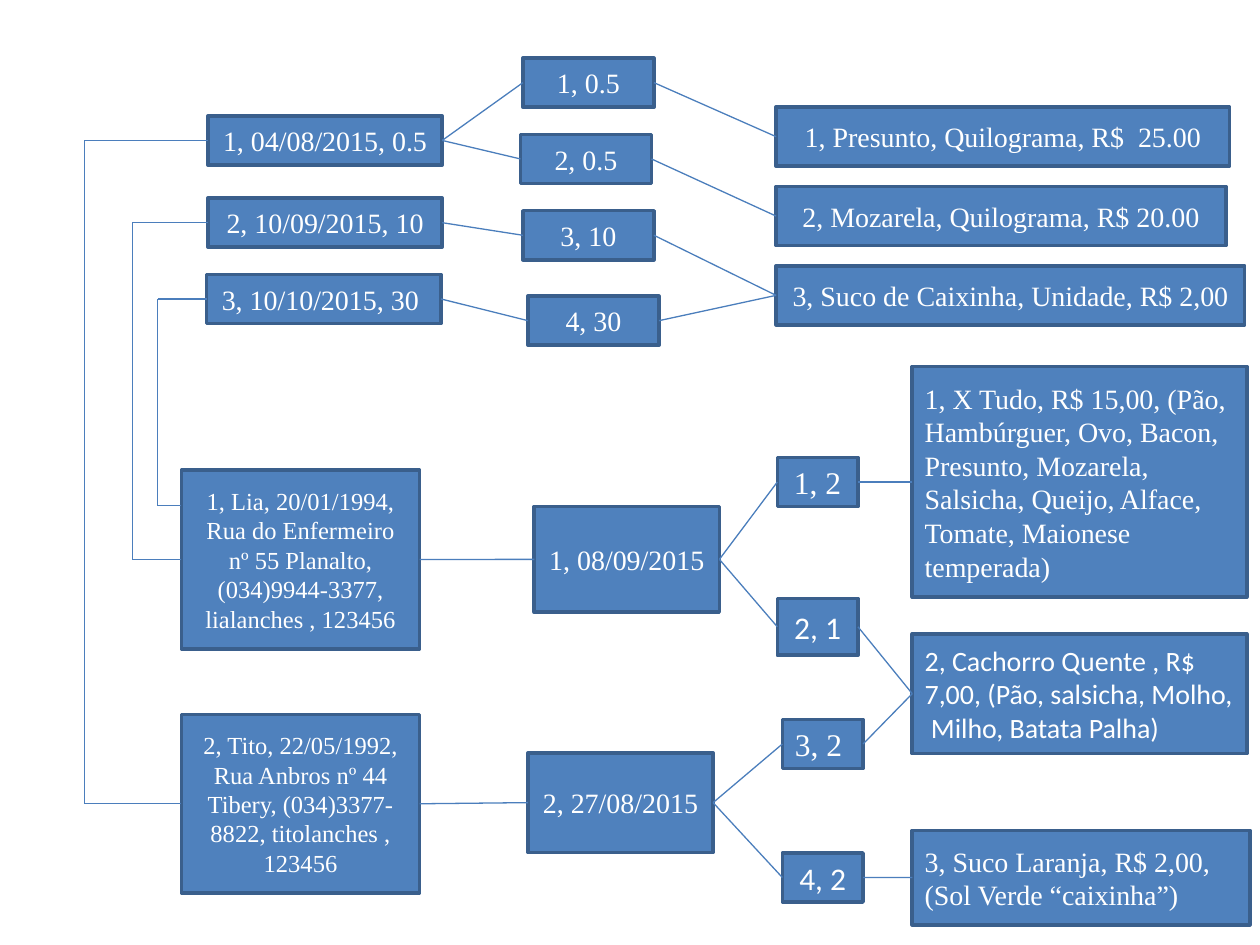
"""Build a slide linking purchases, clients, orders and products."""
from lxml.etree import SubElement
from pptx import Presentation
from pptx.dml.color import RGBColor as RGB
from pptx.enum.shapes import MSO_CONNECTOR as LINK, MSO_SHAPE as SHAPE
from pptx.enum.text import MSO_ANCHOR as ANCHOR, PP_ALIGN as ALIGN
from pptx.oxml.ns import qn
from pptx.util import Pt

HUES = {"fill": "4F81BD", "edge": "3A5F8C", "link": "4B7EBC", "text": "FFFFFF"}
SERIF, SANS = "Times New Roman", "Calibri"
MID, LEFT = ALIGN.CENTER, ALIGN.LEFT

GROUPS = [
    {"size": 16, "wide": 133.9, "high": 28.1, "boxes": [
        ("buy1", 118.8, 66.2, "1, 04/08/2015, 0.5"),
        ("buy2", 118.8, 113.2, "2, 10/09/2015, 10"),
        ("buy3", 118.1, 156.8, "3, 10/10/2015, 30 ")]},
    {"size": 16, "wide": 74.9, "high": 28.1, "boxes": [
        ("part1", 298.8, 33.2, "1, 0.5"),
        ("part2", 297.4, 76.8, "2, 0.5"),
        ("part3", 298.8, 120.4, "3, 10"),
        ("part4", 301.7, 169.2, "4, 30")]},
    {"size": 16, "high": 33.8, "boxes": [
        ("stock1", 443.5, 61.2, "1, Presunto, Quilograma, R$  25.00", {"wide": 259.2}),
        ("stock2", 443.5, 106.6, "2, Mozarela, Quilograma, R$ 20.00", {"wide": 257}),
        ("stock3", 443.5, 151.9, "3, Suco de Caixinha, Unidade, R$ 2,00", {"wide": 267.8})]},
    {"size": 14, "wide": 136.1, "high": 102.2, "boxes": [
        ("client1", 103.7, 268.6, "1, Lia, 20/01/1994, Rua do Enfermeiro nº 55 Planalto, "
         "(034)9944-3377, lialanches , 123456"),
        ("client2", 103.7, 408.2, "2, Tito, 22/05/1992, Rua Anbros nº 44 Tibery, "
         "(034)3377-8822, titolanches , 123456")]},
    {"size": 16, "wide": 105.8, "boxes": [
        ("order1", 305.3, 289.4, "1, 08/09/2015", {"high": 60.5}),
        ("order2", 301.7, 430.2, "2, 27/08/2015", {"high": 56.9})]},
    {"size": 18, "wide": 46.1, "high": 28.1, "boxes": [
        ("item1", 444.2, 261.4, "1, 2"),
        ("item2", 444.2, 342, "2, 1", {"high": 32.4, "font": SANS}),
        ("item3", 447.1, 411.1, "3, 2", {"align": LEFT}),
        ("item4", 447.1, 487.4, "4, 2", {"font": SANS})]},
    {"size": 16, "wide": 191.2, "align": LEFT, "boxes": [
        ("food1", 521.3, 209.5, "1, X Tudo, R$ 15,00, (Pão, Hambúrguer, Ovo, Bacon, Presunto, "
         "Mozarela, Salsicha, Queijo, Alface, Tomate, Maionese temperada)", {"high": 131.8}),
        ("food2", 521.3, 362.2, "2, Cachorro Quente , R$ 7,00, (Pão, salsicha, Molho,  Milho, "
         "Batata Palha)", {"high": 68.4, "font": SANS}),
        ("food3", 521.3, 474.5, "3, Suco Laranja, R$ 2,00, (Sol Verde “caixinha”)",
         {"wide": 193, "high": 54})]},
]
LINKS = [
    ("buy1", "part1"), ("buy1", "part2"), ("buy2", "part3"), ("buy3", "part4"),
    ("part1", "stock1"), ("part2", "stock2"), ("part3", "stock3"), ("part4", "stock3"),
    ("client1", "order1"), ("client2", "order2"), ("order1", "item1"), ("order1", "item2"),
    ("order2", "item3"), ("order2", "item4"), ("item2", "food2"), ("item3", "food2"),
    ("item4", "food3"),
]
LEVEL = [("item1", "food1")]
LOOPS = [("buy1", "client2", 48.2, 0.5), ("buy2", "client1", 75.6, 0.5),
         ("buy3", "client1", 90, 0.2)]


def hue(name):
    return RGB.from_string(HUES[name])


def add_box(x, y, text, size, wide, high, font=SERIF, align=MID):
    box = slide.shapes.add_shape(SHAPE.RECTANGLE, Pt(x), Pt(y), Pt(wide), Pt(high))
    box.shadow.inherit = False
    box.fill.solid()
    box.fill.fore_color.rgb = hue("fill")
    box.line.color.rgb = hue("edge")
    box.line.width = Pt(2)
    frame = box.text_frame
    frame.word_wrap = True
    frame.vertical_anchor = ANCHOR.MIDDLE
    frame.text = text
    para = frame.paragraphs[0]
    para.alignment = align
    face = para.runs[0].font
    face.name, face.size = font, Pt(size)
    face.color.rgb = hue("text")
    return box


def add_line(x1, y1, x2, y2):
    line = slide.shapes.add_connector(LINK.STRAIGHT, int(x1), int(y1), int(x2), int(y2))
    line.line.color.rgb = hue("link")
    line.line.width = Pt(0.75)
    SubElement(line._element.spPr, qn("a:effectLst"))
    return line


def side_y(box, part=0.5):
    return box.top + box.height * part


deck = Presentation()
deck.slide_width, deck.slide_height = Pt(720), Pt(540)
slide = deck.slides.add_slide(deck.slide_layouts[6])

boxes = {}
for group in GROUPS:
    base = {key: val for key, val in group.items() if key != "boxes"}
    for name, x, y, text, *more in group["boxes"]:
        style = {**base, **(more[0] if more else {})}
        boxes[name] = add_box(x, y, text, **style)

for start, end in LINKS:
    line = add_line(0, 0, 0, 0)
    line.begin_connect(boxes[start], 3)
    line.end_connect(boxes[end], 1)

for start, end in LEVEL:
    a, b = boxes[start], boxes[end]
    add_line(a.left + a.width, side_y(a), b.left, side_y(a))

for start, end, x, part in LOOPS:
    a, b = boxes[start], boxes[end]
    dots = [(a.left, side_y(a)), (Pt(x), side_y(a)),
            (Pt(x), side_y(b, part)), (b.left, side_y(b, part))]
    for p, q in zip(dots, dots[1:]):
        add_line(*p, *q)

deck.save("out.pptx")
